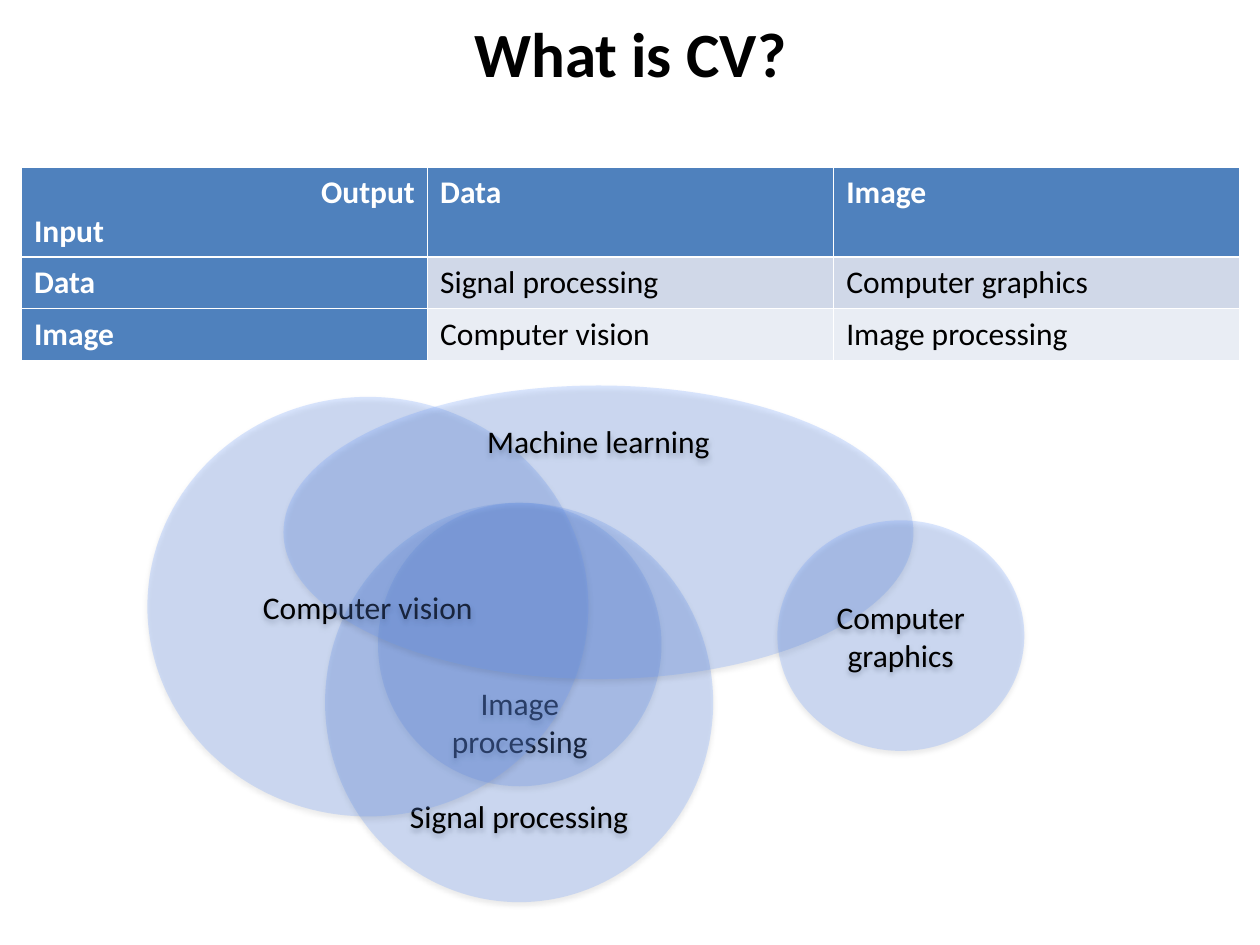
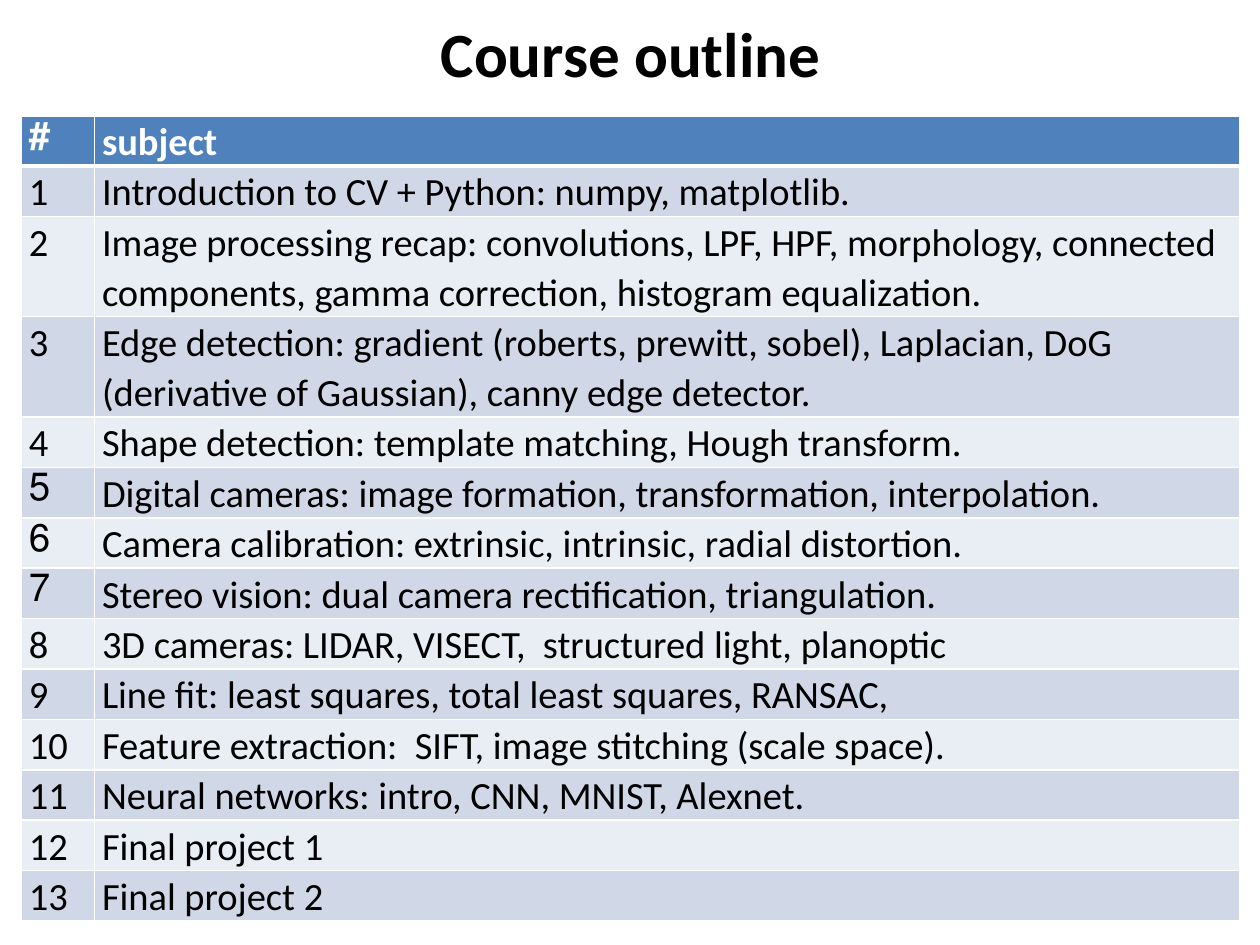
from collections import namedtuple

from lxml import etree
from pptx import Presentation
from pptx import util as u
from pptx.dml.color import RGBColor
from pptx.enum import shapes, text
from pptx.oxml import ns

Box = namedtuple("Box", "left top width height")
Circle = namedtuple("Circle", "label left top width height inset_top inset_bottom")

WHITE = RGBColor(0xFF, 0xFF, 0xFF)
BLACK = RGBColor(0, 0, 0)
HEADER_BLUE = RGBColor(0x4F, 0x81, 0xBD)
DARK_BAND = RGBColor(0xD0, 0xD8, 0xE8)
LIGHT_BAND = RGBColor(0xE9, 0xED, 0xF4)
CIRCLE_BLUE = RGBColor(0x66, 0x99, 0xFF)
FONT = "Calibri"
TITLE_BOX = Box(0.17, 0, 9.67, 0.83)

FIELDS = [
    ["Output\nInput", "Data", "Image"],
    ["Data", "Signal processing", "Computer graphics"],
    ["Image", "Computer vision", "Image processing"],
]
CIRCLES = [
    Circle("Image processing", 1.83, 0.93, 2.25, 2.25, 1.23, 0),
    Circle("Signal processing", 1.41, 0.93, 3.08, 3.17, 1.8, 0),
    Circle("Computer vision", 0, 0.09, 3.5, 3.33, 0.05, 0.05),
    Circle("Machine learning", 1.08, 0, 5, 2.33, 0, 1.45),
    Circle("Computer graphics", 5, 1.07, 1.96, 1.83, 0.05, 0.05),
]
SUBJECTS = [
    "Introduction to CV + Python: numpy, matplotlib.",
    "Image processing recap: convolutions, LPF, HPF, morphology, connected "
    "components, gamma correction, histogram equalization.",
    "Edge detection: gradient (roberts, prewitt, sobel), Laplacian, DoG "
    "(derivative of Gaussian), canny edge detector.",
    "Shape detection: template matching, Hough transform.",
    "Digital cameras: image formation, transformation, interpolation.",
    "Camera calibration: extrinsic, intrinsic, radial distortion.",
    "Stereo vision: dual camera rectification, triangulation.",
    "3D cameras: LIDAR, VISECT,  structured light, planoptic",
    "Line fit: least squares, total least squares, RANSAC,",
    "Feature extraction:  SIFT, image stitching (scale space).",
    "Neural networks: intro, CNN, MNIST, Alexnet.",
    "Final project 1",
    "Final project 2",
]
RIGHT_TO_LEFT_NUMBERS = ("#", "5", "6", "7")


def add_run(paragraph, words, size, color, bold=False):
    run = paragraph.add_run()
    run.text = words
    run.font.name = FONT
    run.font.size = u.Pt(size)
    run.font.bold = bold
    run.font.color.rgb = color


def add_titled_slide(presentation, words):
    slide = presentation.slides.add_slide(presentation.slide_layouts[5])
    title = slide.shapes.title
    title.left, title.top, title.width, title.height = map(u.Inches, TITLE_BOX)
    title.text_frame.vertical_anchor = text.MSO_ANCHOR.MIDDLE
    paragraph = title.text_frame.paragraphs[0]
    paragraph.alignment = text.PP_ALIGN.CENTER
    add_run(paragraph, words, 36, BLACK, True)
    return slide


def set_borders(cell, bottom=1):
    properties = cell._tc.get_or_add_tcPr()
    widths = {"lnL": 1, "lnR": 1, "lnT": 1, "lnB": bottom}
    for position, (side, width) in enumerate(widths.items()):
        line = etree.Element(ns.qn("a:" + side), w=str(u.Pt(width)))
        fill = etree.SubElement(line, ns.qn("a:solidFill"))
        etree.SubElement(fill, ns.qn("a:srgbClr"), val=str(WHITE))
        properties.insert(position, line)


def fill_cell(cell, words, size, row, heading, bottom=1):
    cell.fill.solid()
    band = DARK_BAND if row % 2 else LIGHT_BAND
    cell.fill.fore_color.rgb = HEADER_BLUE if heading else band
    set_borders(cell, bottom)
    lines = words.split("\n")
    frame = cell.text_frame
    for index, line in enumerate(lines):
        paragraph = frame.add_paragraph() if index else frame.paragraphs[0]
        paragraph.alignment = text.PP_ALIGN.LEFT
        add_run(paragraph, line, size, WHITE if heading else BLACK, heading)


def add_grid(slide, box, widths, heights):
    frame = slide.shapes.add_table(len(heights), len(widths), *map(u.Inches, box))
    table = frame.table
    for column, width in zip(table.columns, widths):
        column.width = u.Inches(width)
    for row, height in zip(table.rows, heights):
        row.height = u.Inches(height)
    return table


def add_field_table(slide, box):
    table = add_grid(slide, box, [box.width / 3] * 3, [0.7, 0.41, 0.41])
    for row, values in enumerate(FIELDS):
        for column, words in enumerate(values):
            heading = row == 0 or column == 0
            fill_cell(table.cell(row, column), words, 18, row, heading)
    output = table.cell(0, 0).text_frame.paragraphs[0]
    output.alignment = text.PP_ALIGN.RIGHT


def style_circle(shape):
    shape.fill.solid()
    shape.fill.fore_color.rgb = CIRCLE_BLUE
    shape.line.fill.background()
    shape.shadow.inherit = False
    properties = shape._element.spPr
    color = properties.find(ns.qn("a:solidFill")).find(ns.qn("a:srgbClr"))
    etree.SubElement(color, ns.qn("a:alpha"), val="24000")
    effects = properties.find(ns.qn("a:effectLst"))
    shadow = etree.SubElement(
        effects, ns.qn("a:outerShdw"), blurRad=str(u.Pt(3.1)),
        dist=str(u.Pt(1.8)), dir="5400000", rotWithShape="0")
    shade = etree.SubElement(shadow, ns.qn("a:srgbClr"), val=str(BLACK))
    etree.SubElement(shade, ns.qn("a:alpha"), val="35000")


def add_field_circles(slide, box):
    for circle in CIRCLES:
        shape = slide.shapes.add_shape(
            shapes.MSO_SHAPE.OVAL,
            u.Inches(box.left + circle.left), u.Inches(box.top + circle.top),
            u.Inches(circle.width), u.Inches(circle.height))
        style_circle(shape)
        frame = shape.text_frame
        frame.word_wrap = True
        frame.vertical_anchor = text.MSO_ANCHOR.MIDDLE
        frame.margin_top = u.Inches(circle.inset_top)
        frame.margin_bottom = u.Inches(circle.inset_bottom)
        paragraph = frame.paragraphs[0]
        paragraph.alignment = text.PP_ALIGN.CENTER
        add_run(paragraph, circle.label, 18, BLACK)


def add_outline_table(slide, box):
    rows = [("#", "subject")]
    rows += [(str(number), subject) for number, subject in enumerate(SUBJECTS, 1)]
    heights = [0.29] + [0.4] * len(SUBJECTS)
    table = add_grid(slide, box, [0.58, box.width - 0.58], heights)
    for row, values in enumerate(rows):
        for column, words in enumerate(values):
            cell = table.cell(row, column)
            cell.margin_left = cell.margin_right = u.Inches(0.06)
            cell.margin_top = cell.margin_bottom = 0
            fill_cell(cell, words, 22, row, row == 0, 1 if row else 3)
            paragraph = cell.text_frame.paragraphs[0]
            paragraph.line_spacing = 1.07
            if row == 0 or words in RIGHT_TO_LEFT_NUMBERS:
                paragraph._p.get_or_add_pPr().set("rtl", "1")


def main():
    presentation = Presentation()
    presentation.slide_width = u.Inches(10)
    presentation.slide_height = u.Inches(7.5)

    definition = add_titled_slide(presentation, "What is CV?")
    add_field_table(definition, Box(0.17, 1.33, 9.67, 1.51))
    add_field_circles(definition, Box(1.17, 3.06, 6.96, 4.1))

    outline = add_titled_slide(presentation, "Course outline")
    add_outline_table(outline, Box(0.17, 0.92, 9.67, 6.31))

    presentation.save("out.pptx")


if __name__ == "__main__":
    main()
